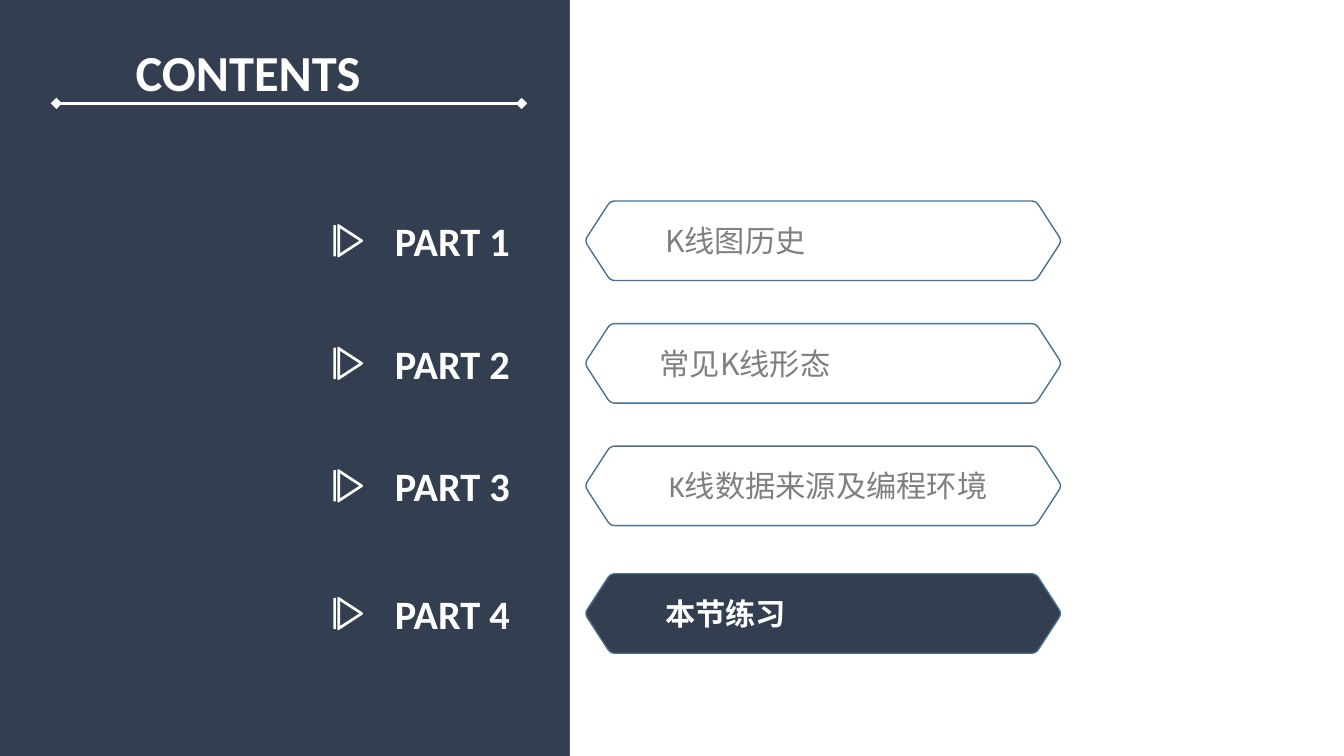
from dataclasses import dataclass
from math import dist

from lxml.etree import SubElement
from pptx import Presentation
from pptx.dml.color import RGBColor
from pptx.enum.shapes import MSO_CONNECTOR, MSO_SHAPE
from pptx.enum.text import MSO_AUTO_SIZE
from pptx.oxml.ns import qn
from pptx.util import Pt


@dataclass(frozen=True)
class Theme:
    navy: RGBColor = RGBColor(0x33, 0x3F, 0x50)
    white: RGBColor = RGBColor(0xFF, 0xFF, 0xFF)
    outline: RGBColor = RGBColor(0x4A, 0x70, 0x90)
    grey: RGBColor = RGBColor(0x80, 0x80, 0x80)
    mid_grey: RGBColor = RGBColor(0x7F, 0x7F, 0x7F)
    latin: str = "Calibri"
    chinese: str = "Noto Sans CJK SC"
    heading_size: float = 27
    part_size: float = 21.6
    topic_size: float = 16.2


@dataclass(frozen=True)
class Part:
    middle: float
    topic: str
    left: float
    width: float
    color: RGBColor
    font: str
    wrap: bool = True
    current: bool = False


THEME = Theme()
SLIDE_WIDTH, SLIDE_HEIGHT = 720, 405
PANEL_LEFT = 305.3
HEX_LEFT, HEX_WIDTH, HEX_HEIGHT = 314, 254, 42.6

PARTS = [
    Part(129, "K线图历史", 349.2, 152, THEME.grey, THEME.chinese),
    Part(194.7, "常见K线形态", 346.3, 113.8, THEME.mid_grey, THEME.chinese, wrap=False),
    Part(260.3, "K线数据来源及编程环境", 351.4, 188.6, THEME.mid_grey, THEME.latin, wrap=False),
    Part(328.7, "本节练习", 349.2, 178.6, THEME.white, THEME.latin, current=True),
]


def add_text(slide, box, text, size, color, font, bold=False, wrap=True):
    textbox = slide.shapes.add_textbox(*(Pt(v) for v in box))
    frame = textbox.text_frame
    frame.word_wrap = wrap
    frame.auto_size = MSO_AUTO_SIZE.SHAPE_TO_FIT_TEXT
    run = frame.paragraphs[0].add_run()
    run.text = text
    run.font.size = Pt(size)
    run.font.bold = bold
    run.font.color.rgb = color
    run.font.name = font
    east_asian = SubElement(run.font._element, qn("a:ea"))
    east_asian.set("typeface", THEME.chinese)


def rounded_outline(corners, cut, steps=6):
    """Points of a polygon whose corners are quadratic curves."""
    points = []
    for i, corner in enumerate(corners):
        ends = []
        for neighbour in (corners[i - 1], corners[(i + 1) % len(corners)]):
            share = cut / dist(corner, neighbour)
            ends.append([c + (n - c) * share for c, n in zip(corner, neighbour)])
        for step in range(steps + 1):
            t = step / steps
            points.append([
                (1 - t) ** 2 * a + 2 * t * (1 - t) * c + t ** 2 * b
                for a, c, b in zip(ends[0], corner, ends[1])
            ])
    return points


def add_outline_shape(slide, contours):
    contours = [[(Pt(x), Pt(y)) for x, y in contour] for contour in contours]
    builder = slide.shapes.build_freeform(*contours[0][0], scale=1.0)
    for i, contour in enumerate(contours):
        if i:
            builder.move_to(*contour[0])
        builder.add_line_segments(contour[1:], close=True)
    shape = builder.convert_to_shape()
    shape.shadow.inherit = False
    return shape


def add_hexagon(slide, middle, filled):
    top, bottom = middle - HEX_HEIGHT / 2, middle + HEX_HEIGHT / 2
    right = HEX_LEFT + HEX_WIDTH
    shoulder, overshoot = 13, 0.8
    corners = [
        (HEX_LEFT + shoulder, top), (right - shoulder, top),
        (right + overshoot, middle),
        (right - shoulder, bottom), (HEX_LEFT + shoulder, bottom),
        (HEX_LEFT - overshoot, middle),
    ]
    hexagon = add_outline_shape(slide, [rounded_outline(corners, 2.7)])
    if filled:
        hexagon.fill.solid()
        hexagon.fill.fore_color.rgb = THEME.navy
    else:
        hexagon.fill.background()
    hexagon.line.color.rgb = THEME.outline
    hexagon.line.width = Pt(0.75)


def add_play_icon(slide, middle):
    def triangle(left, right, half):
        return [(left, middle - half), (right, middle), (left, middle + half)]

    bar_top, bar_bottom = middle - 8.4, middle + 8.4
    bar = [(178.6, bar_top), (180, bar_top), (180, bar_bottom), (178.6, bar_bottom)]
    icon = add_outline_shape(slide, [
        rounded_outline(triangle(180.7, 195.1, 9.4), 1.5),
        triangle(182.2, 192.5, 6.7),
        rounded_outline(bar, 0.5),
    ])
    icon.fill.solid()
    icon.fill.fore_color.rgb = THEME.white
    icon.line.fill.background()


def add_diamond_rule(slide, left, right, y):
    rule = slide.shapes.add_connector(
        MSO_CONNECTOR.STRAIGHT, Pt(left), Pt(y), Pt(right), Pt(y))
    rule.line.color.rgb = THEME.white
    rule.line.width = Pt(2)
    line = rule.line._get_or_add_ln()
    for end in ("a:headEnd", "a:tailEnd"):
        SubElement(line, qn(end)).set("type", "diamond")
    SubElement(rule._element.spPr, qn("a:effectLst"))


def add_white_panel(slide):
    panel = slide.shapes.add_shape(
        MSO_SHAPE.RECTANGLE, Pt(PANEL_LEFT), Pt(0),
        Pt(SLIDE_WIDTH - PANEL_LEFT), Pt(SLIDE_HEIGHT))
    panel.shadow.inherit = False
    panel.fill.solid()
    panel.fill.fore_color.rgb = THEME.white
    panel.line.fill.background()


def main():
    deck = Presentation()
    deck.slide_width, deck.slide_height = Pt(SLIDE_WIDTH), Pt(SLIDE_HEIGHT)
    slide = deck.slides.add_slide(deck.slide_layouts[6])

    # Navy background with white panel
    slide.background.fill.solid()
    slide.background.fill.fore_color.rgb = THEME.navy
    add_white_panel(slide)

    # Heading
    add_text(slide, (65.5, 18.7, 265.7, 39.6), "CONTENTS",
             THEME.heading_size, THEME.white, THEME.latin, bold=True)
    add_diamond_rule(slide, 30.2, 279.4, 55.4)

    # Parts
    for number, part in enumerate(PARTS, start=1):
        add_hexagon(slide, part.middle, part.current)
        add_play_icon(slide, part.middle)
        add_text(slide, (204.5, part.middle - 16.7, 109.4, 33.1), f"PART {number}",
                 THEME.part_size, THEME.white, THEME.latin, bold=True)
        add_text(slide, (part.left, part.middle - 13.5, part.width, 26.6), part.topic,
                 THEME.topic_size, part.color, part.font,
                 bold=part.current, wrap=part.wrap)

    deck.save("out.pptx")


if __name__ == "__main__":
    main()
